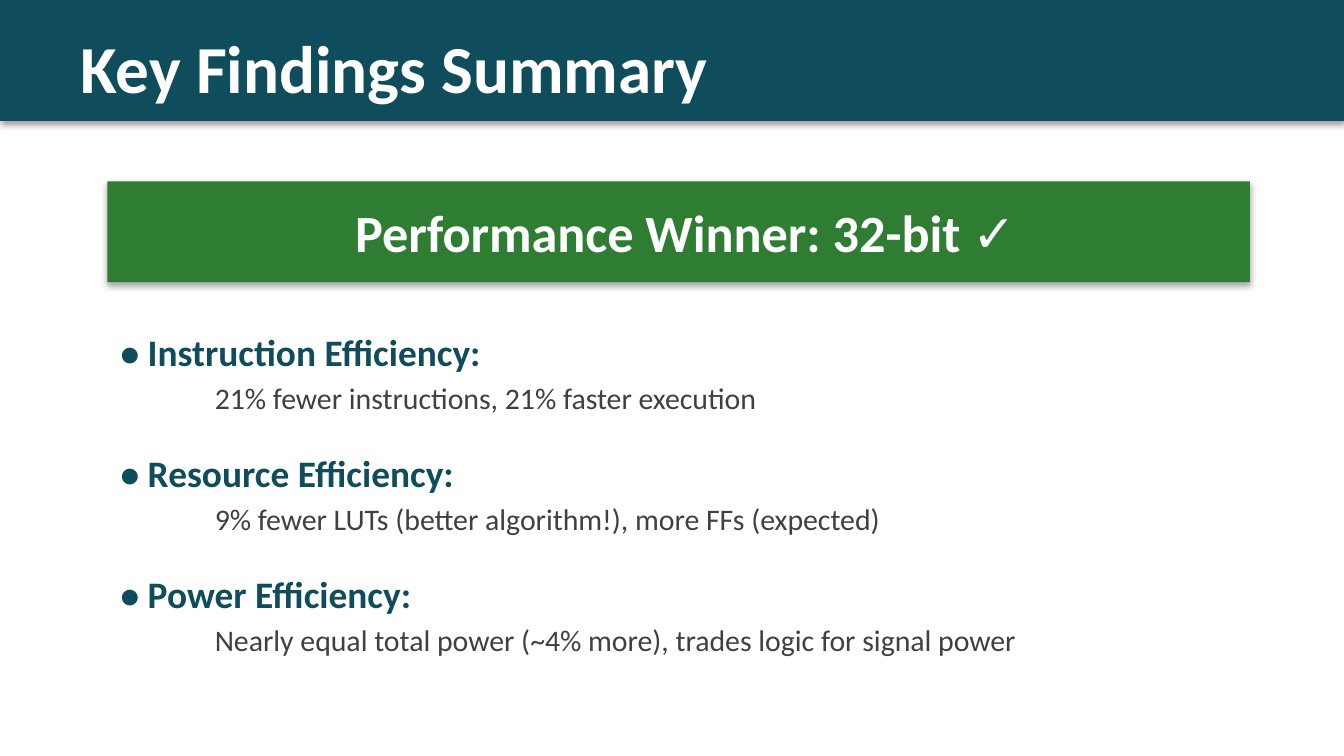
from lxml.etree import SubElement
from pptx import Presentation
from pptx.dml.color import RGBColor
from pptx.enum.shapes import MSO_SHAPE as Shape
from pptx.enum.text import MSO_ANCHOR as Anchor, MSO_AUTO_SIZE as AutoSize, PP_ALIGN as Align
from pptx.oxml.ns import qn
from pptx.util import Emu, Pt

EMU_PER_PX = 4572
FONT = "Calibri"
TEAL = RGBColor(0x0F, 0x4C, 0x5C)
GREEN = RGBColor(0x2E, 0x7D, 0x32)
GRAY = RGBColor(0x40, 0x40, 0x40)
WHITE = RGBColor(0xFF, 0xFF, 0xFF)

FINDINGS = [
    ("Instruction Efficiency:", "21% fewer instructions, 21% faster execution"),
    ("Resource Efficiency:", "9% fewer LUTs (better algorithm!), more FFs (expected)"),
    ("Power Efficiency:", "Nearly equal total power (~4% more), trades logic for signal power"),
]
FINDINGS_TOP = 480
FINDING_STEP = 180
DETAIL_OFFSET = 75


def px(length):
    return Emu(length * EMU_PER_PX)


def add_shadow(shape):
    shape.shadow.inherit = False
    effects = shape.element.spPr.find(qn("a:effectLst"))
    shadow = SubElement(
        effects, qn("a:outerShdw"), blurRad=str(Pt(3.1)), dist=str(Pt(1.8)),
        dir="5400000", rotWithShape="0",
    )
    color = SubElement(shadow, qn("a:srgbClr"), val="000000")
    SubElement(color, qn("a:alpha"), val="35000")


def add_band(slide, left, top, width, height, color):
    shape = slide.shapes.add_shape(Shape.RECTANGLE, px(left), px(top), px(width), px(height))
    shape.fill.solid()
    shape.fill.fore_color.rgb = color
    shape.line.fill.background()
    add_shadow(shape)
    return shape


def write_text(shape, text, size, color, bold=False):
    shape.text_frame.text = text
    font = shape.text_frame.paragraphs[0].runs[0].font
    font.name = FONT
    font.size = Pt(size)
    font.bold = bold
    font.color.rgb = color


def add_text(slide, left, top, width, height, text, size, color, bold=False):
    box = slide.shapes.add_textbox(px(left), px(top), px(width), px(height))
    box.text_frame.word_wrap = True
    box.text_frame.auto_size = AutoSize.SHAPE_TO_FIT_TEXT
    write_text(box, text, size, color, bold)


def add_banner(slide, text):
    banner = add_band(slide, 160, 270, 1700, 150, GREEN)
    write_text(banner, text, 28, WHITE, bold=True)
    frame = banner.text_frame
    frame.word_wrap = True
    frame.margin_left = px(40)
    frame.vertical_anchor = Anchor.MIDDLE
    frame.paragraphs[0].alignment = Align.CENTER


def add_finding(slide, top, heading, detail):
    add_text(slide, 160, top, 1700, 60, f"• {heading}", 20, TEAL, bold=True)
    add_text(slide, 300, top + DETAIL_OFFSET, 1560, 75, detail, 16, GRAY)


def main():
    presentation = Presentation()
    presentation.slide_width = px(2000)
    presentation.slide_height = px(1125)
    slide = presentation.slides.add_slide(presentation.slide_layouts[6])
    slide.background.fill.solid()
    slide.background.fill.fore_color.rgb = WHITE

    add_band(slide, 0, 0, 2000, 180, TEAL)
    add_text(slide, 100, 30, 1800, 120, "Key Findings Summary", 36, WHITE, bold=True)
    add_banner(slide, "Performance Winner: 32-bit ✓")
    for index, (heading, detail) in enumerate(FINDINGS):
        add_finding(slide, FINDINGS_TOP + index * FINDING_STEP, heading, detail)

    presentation.save("out.pptx")


if __name__ == "__main__":
    main()
